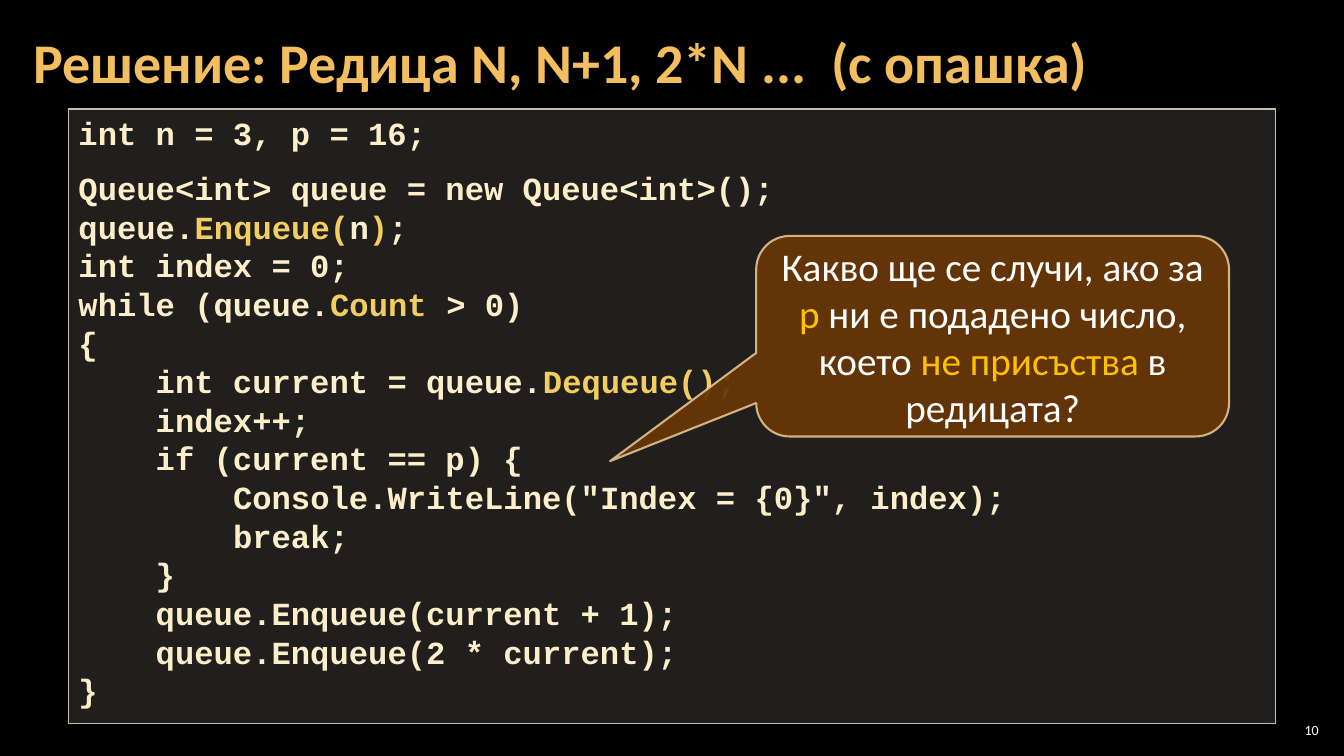
from pptx import Presentation
from pptx.dml.color import RGBColor
from pptx.enum.shapes import MSO_SHAPE
from pptx.enum.text import MSO_ANCHOR, PP_ALIGN
from pptx.oxml.ns import qn
from pptx.util import Inches, Pt
from lxml.etree import SubElement

TITLE = "Решение: Редица N, N+1, 2*N ...  (с опашка)"
CODE = [
    (0, ["int n = 3, p = 16;"]),
    (0, ["Queue<int> queue = new Queue<int>();"]),
    (0, ["queue.", "Enqueue(", "n", ")", ";"]),
    (0, ["int index = 0;"]),
    (0, ["while (queue.", "Count", " > 0)"]),
    (0, ["{"]),
    (1, ["int current = queue.", "Dequeue()", ";"]),
    (1, ["index++;"]),
    (1, ["if (current == p) {"]),
    (2, ['Console.WriteLine("Index = {0}", index);']),
    (2, ["break;"]),
    (1, ["}"]),
    (1, ["queue.Enqueue(current + 1);"]),
    (1, ["queue.Enqueue(2 * current);"]),
    (0, ["}"]),
]
QUESTION = ["Какво ще се случи, ако за ", "p ", "ни е подадено число, което ",
            "не присъства ", "в редицата?"]
PAGE = "10"
SECTION_START = 1

THEME = {
    "back": "000000",
    "title": {"size": 40, "name": "Calibri", "bold": True, "colors": ["F3BE60"]},
    "code": {"size": 23, "name": "Courier New", "bold": True, "colors": ["FBEEC9", "F3CD60"]},
    "question": {"size": 28, "name": "Calibri", "bold": False, "colors": ["FFFFFF", "FFC000"]},
    "page": {"size": 10, "name": "Calibri", "bold": False, "colors": ["FFFFFF"]},
    "panel": {"fill": ("D9D5C7", 15), "line": ("C7BFAC", 100), "width": 1},
    "callout": {"fill": ("663606", 95), "line": ("F8D49E", 80), "width": 1.5},
}
W, H = 13.33, 7.5
INDENT = 4 * 0.6 * THEME["code"]["size"]

prs = Presentation()
prs.slide_width, prs.slide_height = Inches(W), Inches(H)
s = prs.slides.add_slide(prs.slide_layouts[6])
s.background.fill.solid()
s.background.fill.fore_color.rgb = RGBColor.from_string(THEME["back"])


def paint(fill, holder, color, alpha):
    fill.solid()
    fill.fore_color.rgb = RGBColor.from_string(color)
    if alpha < 100:
        clr = holder.find(qn("a:solidFill"))[0]
        SubElement(clr, qn("a:alpha")).set("val", str(alpha * 1000))


def add_runs(p, parts, style):
    colors = style["colors"]
    for i, part in enumerate(parts):
        r = p.add_run()
        r.text = part
        for key, value in {"size": Pt(style["size"]), "name": style["name"],
                           "bold": style["bold"]}.items():
            setattr(r.font, key, value)
        r.font.color.rgb = RGBColor.from_string(colors[i % len(colors)])


def frame(sp, anchor, insets=(0.1, 0.05)):
    tf = sp.text_frame
    x, y = map(Inches, insets)
    for key, value in {"word_wrap": True, "vertical_anchor": anchor, "margin_left": x,
                       "margin_right": x, "margin_top": y, "margin_bottom": y}.items():
        setattr(tf, key, value)
    return tf


def add_text(box, text, style, align, insets):
    tf = frame(s.shapes.add_textbox(*map(Inches, box)), MSO_ANCHOR.MIDDLE, insets)
    p = tf.paragraphs[0]
    p.alignment = align
    add_runs(p, [text], style)
    return p


def add_panel(kind, box, look, anchor):
    sp = s.shapes.add_shape(kind, *map(Inches, box))
    sp.shadow.inherit = False
    sp.line.width = Pt(look["width"])
    props = sp.element.spPr
    paint(sp.fill, props, *look["fill"])
    paint(sp.line.fill, props.find(qn("a:ln")), *look["line"])
    return sp, frame(sp, anchor)


title = add_text((0.21, 0.04, 12.91, 1.21), TITLE, THEME["title"], PP_ALIGN.LEFT, (0.12, 0.04))
title.line_spacing = 0.9

panel, tf = add_panel(MSO_SHAPE.RECTANGLE, (0.68, 1.08, W - 2 * 0.68, 6.1),
                      THEME["panel"], MSO_ANCHOR.TOP)
for i, (level, parts) in enumerate(CODE):
    p = tf.paragraphs[0] if i == 0 else tf.add_paragraph()
    p.alignment = PP_ALIGN.LEFT
    p.space_before = Pt(THEME["code"]["size"] / 2 if i == SECTION_START else 0)
    p._p.get_or_add_pPr().set("marL", str(Pt(INDENT * level)))
    add_runs(p, parts, THEME["code"])

callout, tf = add_panel(MSO_SHAPE.ROUNDED_RECTANGULAR_CALLOUT, (7.5, 2.34, 4.69, 1.99),
                        THEME["callout"], MSO_ANCHOR.MIDDLE)
for i, value in enumerate((-0.809, 0.623, 0.167)):
    callout.adjustments[i] = value
tf.paragraphs[0].alignment = PP_ALIGN.CENTER
add_runs(tf.paragraphs[0], QUESTION, THEME["question"])

add_text((12.65, 7.14, 0.47, 0.21), PAGE, THEME["page"], PP_ALIGN.RIGHT, (0.04, 0.04))

prs.save("out.pptx")
